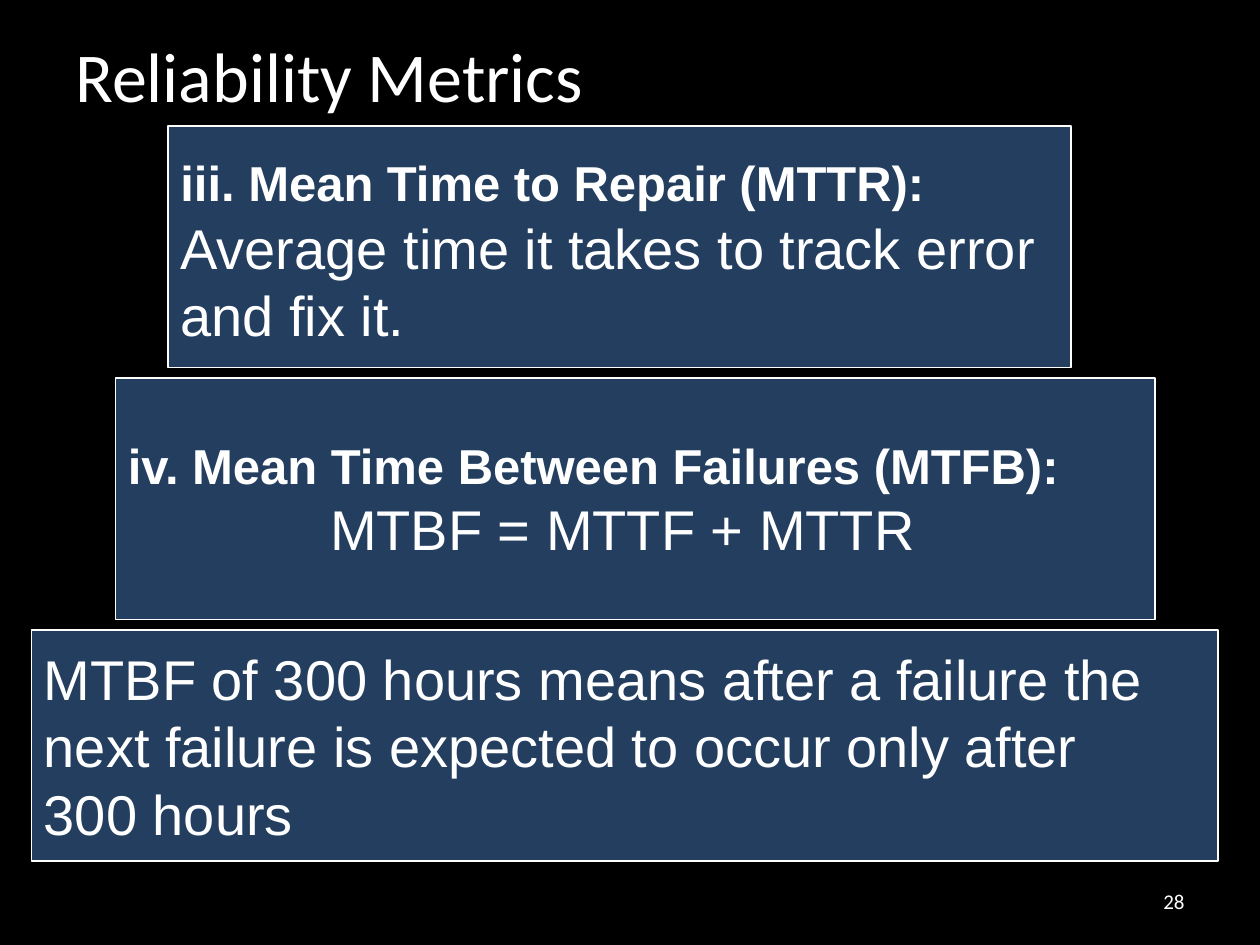
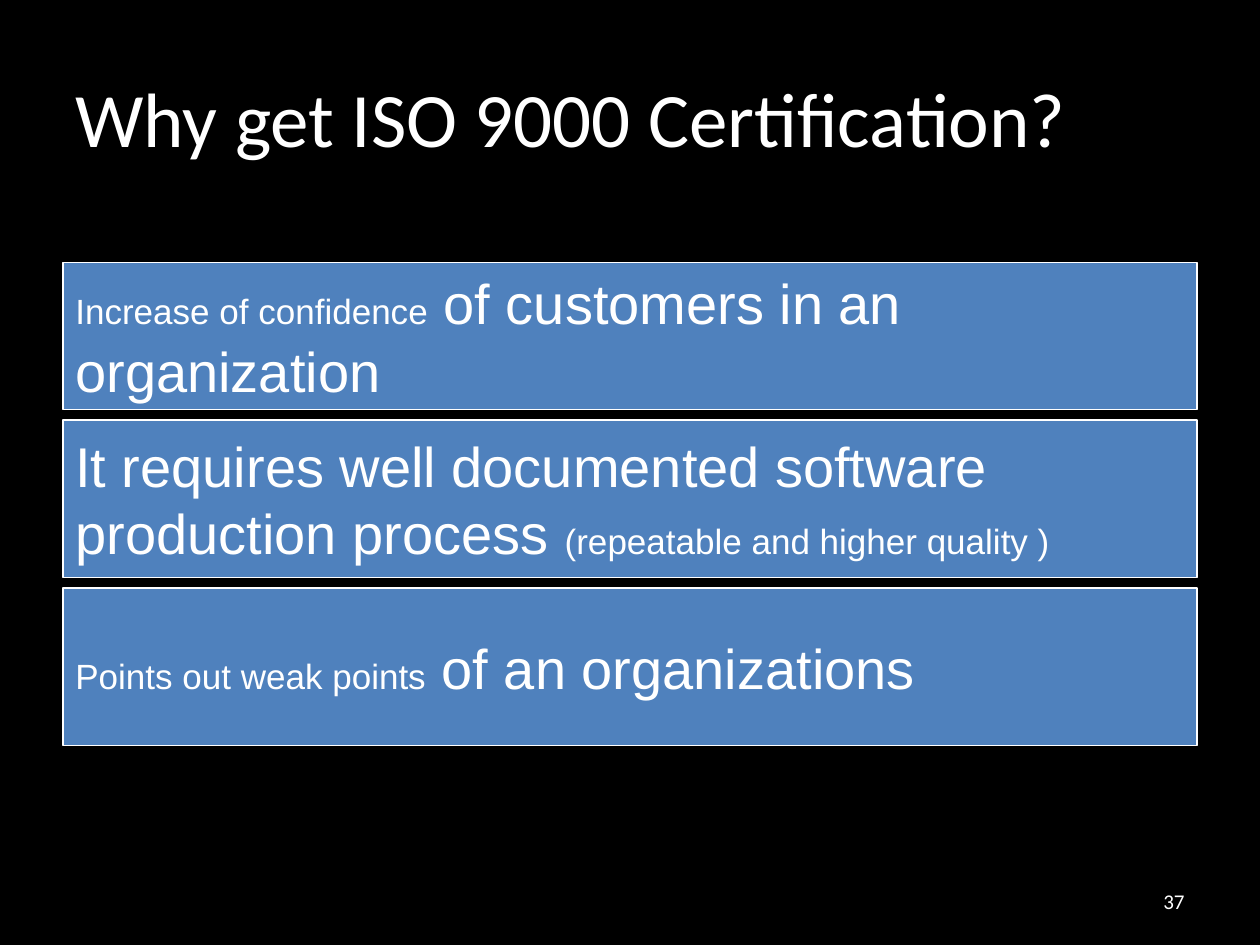
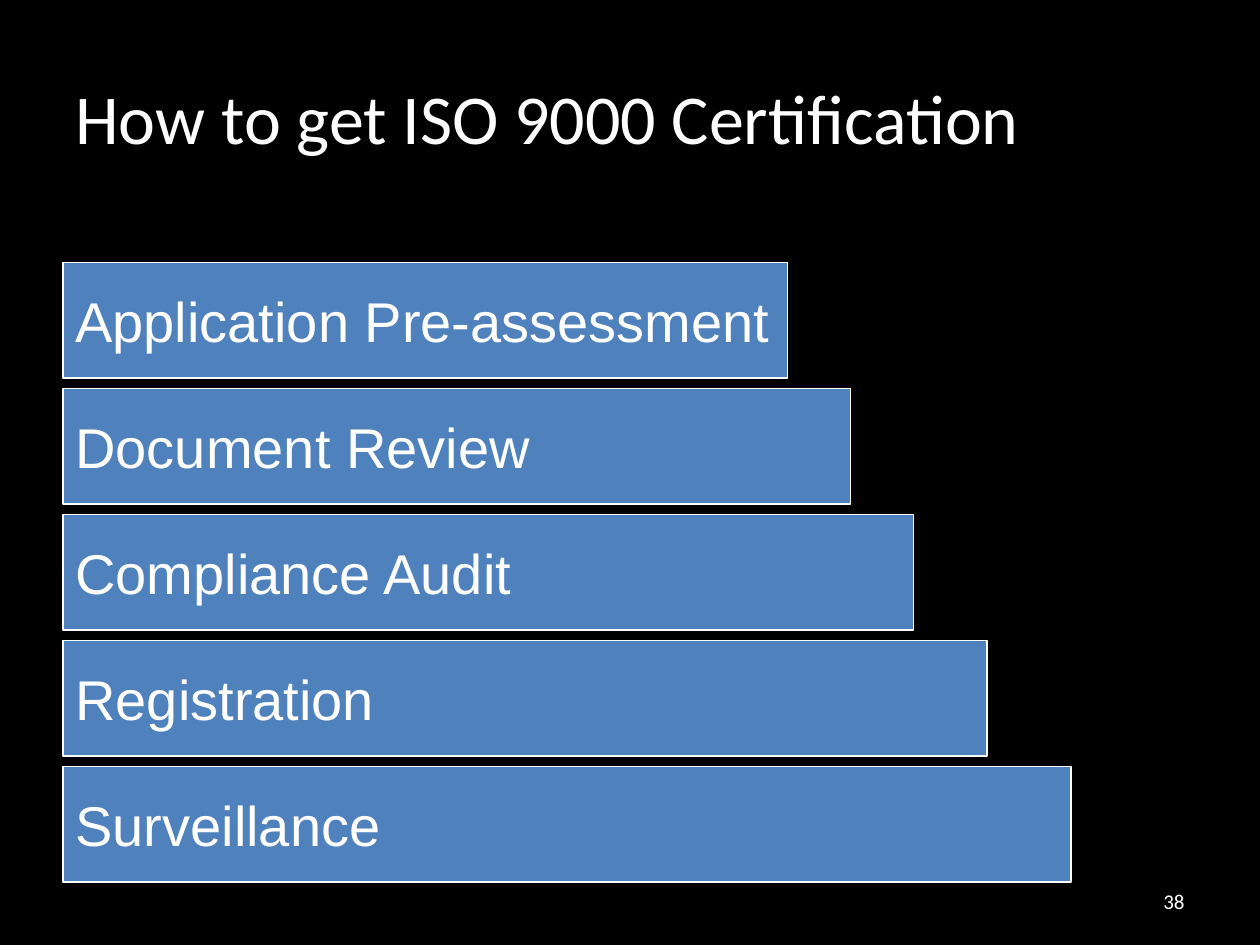
from dataclasses import dataclass

import pptx
import pptx.dml.color
import pptx.enum.shapes
import pptx.enum.text
import pptx.util

Pt = pptx.util.Pt
Align = pptx.enum.text.PP_ALIGN
Anchor = pptx.enum.text.MSO_ANCHOR

# Shared look
BLACK = pptx.dml.color.RGBColor(0x00, 0x00, 0x00)
WHITE = pptx.dml.color.RGBColor(0xFF, 0xFF, 0xFF)
NAVY = pptx.dml.color.RGBColor(0x23, 0x3E, 0x5F)
BLUE = pptx.dml.color.RGBColor(0x4F, 0x81, 0xBD)
HEAD_FONT = "Calibri"
BODY_FONT = "Arial"
BODY_SIZE = 32
LEFT = 36
WIDTH = 648
GAP = 6


@dataclass
class Run:
    text: str
    size: float = BODY_SIZE
    bold: bool = False


@dataclass
class Line:
    runs: list[Run]
    indent: float = 0


@dataclass
class Bar:
    lines: list[Line]
    height: float
    width: float = WIDTH
    left: float = LEFT


@dataclass
class Title:
    text: str
    size: float
    top: float = 21.6
    height: float = 90
    anchor: Anchor = Anchor.MIDDLE


@dataclass
class Page:
    title: Title
    number: int
    top: float
    fill: pptx.dml.color.RGBColor
    bars: list[Bar]


def write(shape, lines: list[Line], *, font: str = BODY_FONT,
          align: Align = Align.LEFT, anchor: Anchor = Anchor.MIDDLE) -> None:
    """Fill a shape with white text."""
    frame = shape.text_frame
    frame.word_wrap = True
    frame.vertical_anchor = anchor
    for i, line in enumerate(lines):
        para = frame.add_paragraph() if i else frame.paragraphs[0]
        para.alignment = align
        if line.indent:
            para._p.get_or_add_pPr().set("marL", str(Pt(line.indent)))
        for part in line.runs:
            run = para.add_run()
            run.text = part.text
            run.font.name = font
            run.font.size = Pt(part.size)
            run.font.bold = part.bold
            run.font.color.rgb = WHITE


def draw_label(slide, box: tuple[float, ...], text: str, size: float,
               **form) -> None:
    label = slide.shapes.add_textbox(*map(Pt, box))
    write(label, [Line([Run(text, size)])], font=HEAD_FONT, **form)


def draw_bar(slide, bar: Bar, top: float, fill) -> None:
    box = (bar.left, top, bar.width, bar.height)
    shape = slide.shapes.add_shape(
        pptx.enum.shapes.MSO_SHAPE.RECTANGLE, *map(Pt, box))
    shape.shadow.inherit = False
    shape.fill.solid()
    shape.fill.fore_color.rgb = fill
    shape.line.color.rgb = WHITE
    shape.line.width = Pt(0.75)
    write(shape, bar.lines)


def draw_page(deck, page: Page) -> None:
    slide = deck.slides.add_slide(deck.slide_layouts[6])
    slide.background.fill.solid()
    slide.background.fill.fore_color.rgb = BLACK
    title = page.title
    draw_label(slide, (LEFT, title.top, WIDTH, title.height),
               title.text, title.size, anchor=title.anchor)
    # Bars stack downward with an equal gap
    top = page.top
    for bar in page.bars:
        draw_bar(slide, bar, top, page.fill)
        top += bar.height + GAP
    draw_label(slide, (516, 500.4, 168, 28.8), str(page.number), 12,
               align=Align.RIGHT)


# Slide content
METRICS = [
    Bar([Line([Run("iii. Mean Time to Repair (MTTR):", 28, True),
               Run(" Average time it takes to track error and fix it.")])],
        height=138, width=516, left=96),
    Bar([Line([Run("iv. Mean Time Between Failures (MTFB):", 28, True)]),
         Line([Run("MTBF = MTTF + MTTR")], indent=115.5)],
        height=138, width=594, left=66),
    Bar([Line([Run(text)]) for text in (
            "MTBF of 300 hours means after a failure the",
            "next failure is expected to occur only after",
            "300 hours")],
        height=132, width=678, left=18),
]

REASONS = [
    Bar([Line([Run("Increase of confidence", 20),
               Run(" of customers in an organization")])], height=84),
    Bar([Line([Run("It requires well documented software production process "),
               Run("(repeatable and higher quality )", 20)])], height=90),
    Bar([Line([Run("Points out weak points", 20),
               Run(" of an organizations")])], height=90),
]

STEPS = [
    Bar([Line([Run(text)])], height=66, width=width)
    for text, width in (
        ("Application Pre-assessment", 414),
        ("Document Review", 450),
        ("Compliance Audit", 486),
        ("Registration", 528),
        ("Surveillance", 576),
    )
]

PAGES = [
    Page(Title("Reliability Metrics", 40, top=15, height=103,
               anchor=Anchor.TOP), 28, 72, NAVY, METRICS),
    Page(Title("Why get ISO 9000 Certification?", 44), 37, 150, BLUE, REASONS),
    Page(Title("How to get ISO 9000 Certification", 40), 38, 150, BLUE, STEPS),
]


def main() -> None:
    deck = pptx.Presentation()
    deck.slide_width = Pt(720)
    deck.slide_height = Pt(540)
    for page in PAGES:
        draw_page(deck, page)
    deck.save("out.pptx")


if __name__ == "__main__":
    main()
